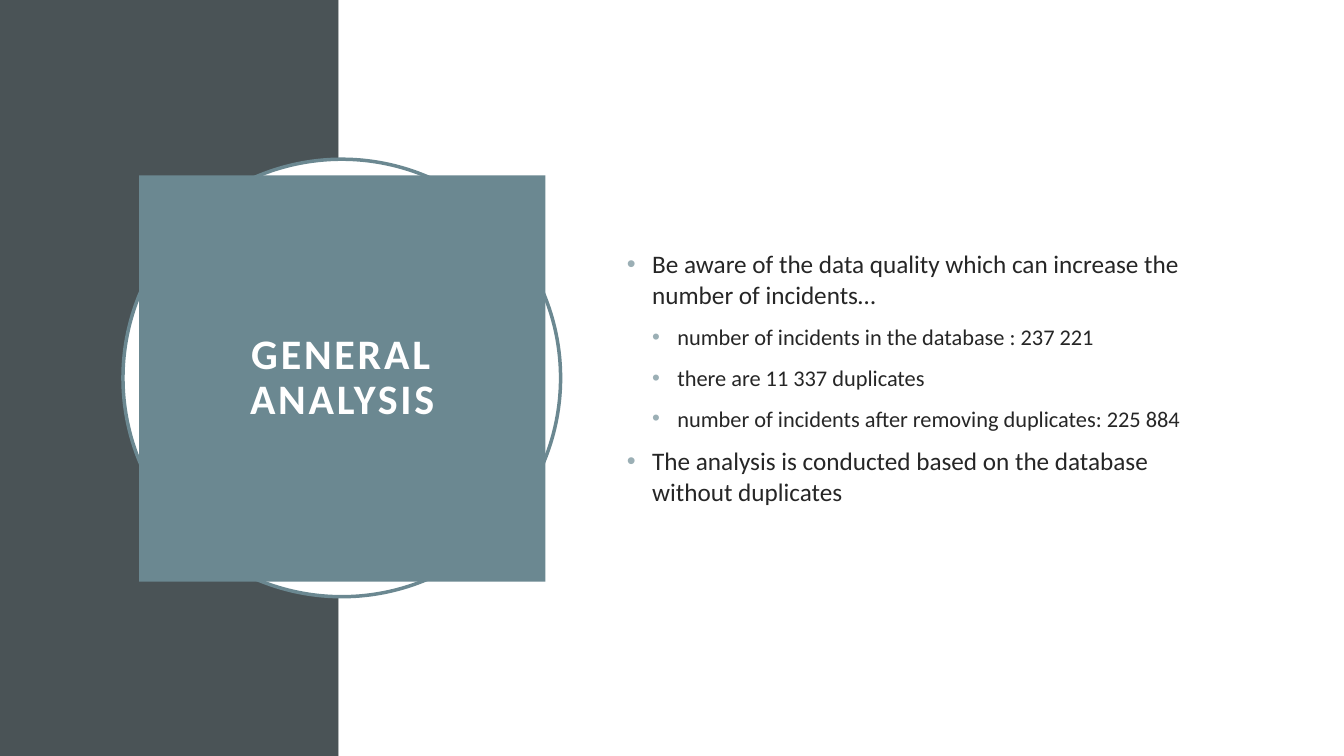
from pptx import Presentation
from pptx import util as u
from pptx.dml.color import RGBColor
from pptx.enum import shapes, text
from pptx.oxml import ns
from lxml import etree

COLORS = {"dark": "4A5356", "teal": "6B8891", "bullet": "9BAFB5",
          "ink": "262626", "white": "FFFFFF"}


class Deck:
    """Hold the style and the current slide, and draw its elements."""

    font = "Calibri"

    def __init__(self, prs):
        self.s = prs.slides.add_slide(prs.slide_layouts[6])

    def color(self, name):
        return RGBColor.from_string(COLORS[name])

    def shape(self, kind, x, y, w, h, fill, line=None):
        sp = self.s.shapes.add_shape(kind, *map(u.Inches, (x, y, w, h)))
        sp.shadow.inherit = False
        sp.fill.solid()
        sp.fill.fore_color.rgb = self.color(fill)
        if line:
            sp.line.color.rgb = self.color(line)
            sp.line.width = u.Pt(2.5)
        else:
            sp.line.fill.background()
        return sp

    def format(self, p, size, color, bold=False, spacing=0):
        for r in p.runs:
            r.font.name, r.font.size, r.font.bold = self.font, u.Pt(size), bold
            r.font.color.rgb = self.color(color)
            if spacing:
                r.font._element.set("spc", str(spacing * 100))

    def title(self, sp, words):
        tf = sp.text_frame
        tf.word_wrap = True
        tf.vertical_anchor = text.MSO_ANCHOR.MIDDLE
        p = tf.paragraphs[0]
        p.text = words
        p.alignment = text.PP_ALIGN.CENTER
        p.line_spacing = 0.9
        self.format(p, 30, "white", bold=True, spacing=2)

    def bullets(self, x, y, w, h, items):
        tf = self.s.shapes.add_textbox(*map(u.Inches, (x, y, w, h))).text_frame
        tf.word_wrap = True
        tf.vertical_anchor = text.MSO_ANCHOR.MIDDLE
        for i, (level, words) in enumerate(items):
            p = tf.add_paragraph() if i else tf.paragraphs[0]
            p.text = words
            p.level = level
            p.space_before = u.Pt(10)
            self.format(p, 18 - 2 * level, "ink")
            pPr = p._p.get_or_add_pPr()
            pPr.set("marL", str(u.Inches(0.25 * (level + 1))))
            pPr.set("indent", str(u.Inches(-0.25)))
            clr = etree.SubElement(pPr, ns.qn("a:buClr"))
            etree.SubElement(clr, ns.qn("a:srgbClr"), val=COLORS["bullet"])
            etree.SubElement(pPr, ns.qn("a:buFont"), typeface="Arial")
            etree.SubElement(pPr, ns.qn("a:buChar"), char="•")


prs = Presentation()
prs.slide_width, prs.slide_height = u.Inches(13.33), u.Inches(7.5)
deck = Deck(prs)
rect, oval = shapes.MSO_SHAPE.RECTANGLE, shapes.MSO_SHAPE.OVAL

deck.shape(rect, 0, 0, 3.36, 7.5, "dark")
deck.shape(rect, 3.36, 0, 9.97, 7.5, "white")
deck.shape(oval, 1.22, 1.58, 4.34, 4.34, "white", line="teal")
panel = deck.shape(rect, 1.38, 1.74, 4.03, 4.03, "teal")
deck.title(panel, "GENERAL\vANALYSIS")
deck.bullets(6.12, 1.53, 5.82, 4.43, [
    (0, "Be aware of the data quality which can increase the number of incidents…"),
    (1, "number of incidents in the database : 237 221"),
    (1, "there are 11 337 duplicates"),
    (1, "number of incidents after removing duplicates: 225 884"),
    (0, "The analysis is conducted based on the database without duplicates"),
])
prs.save("out.pptx")
